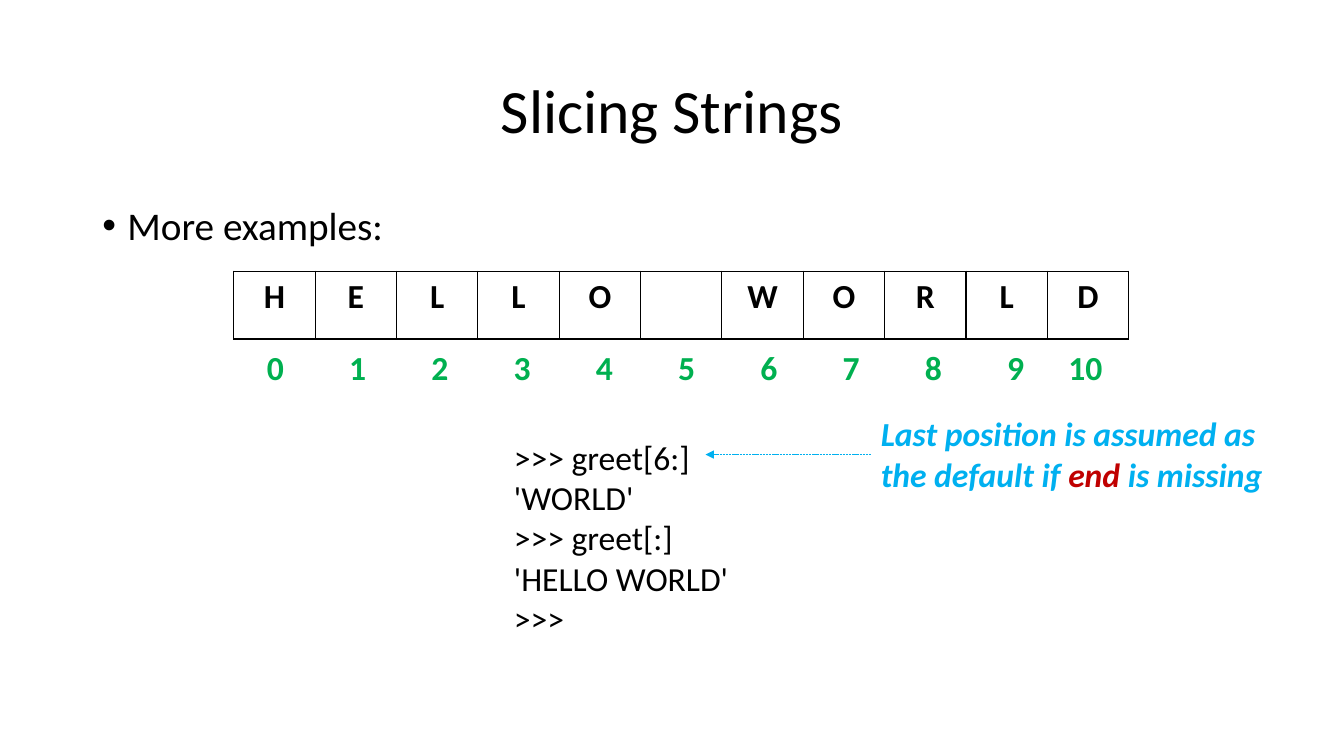
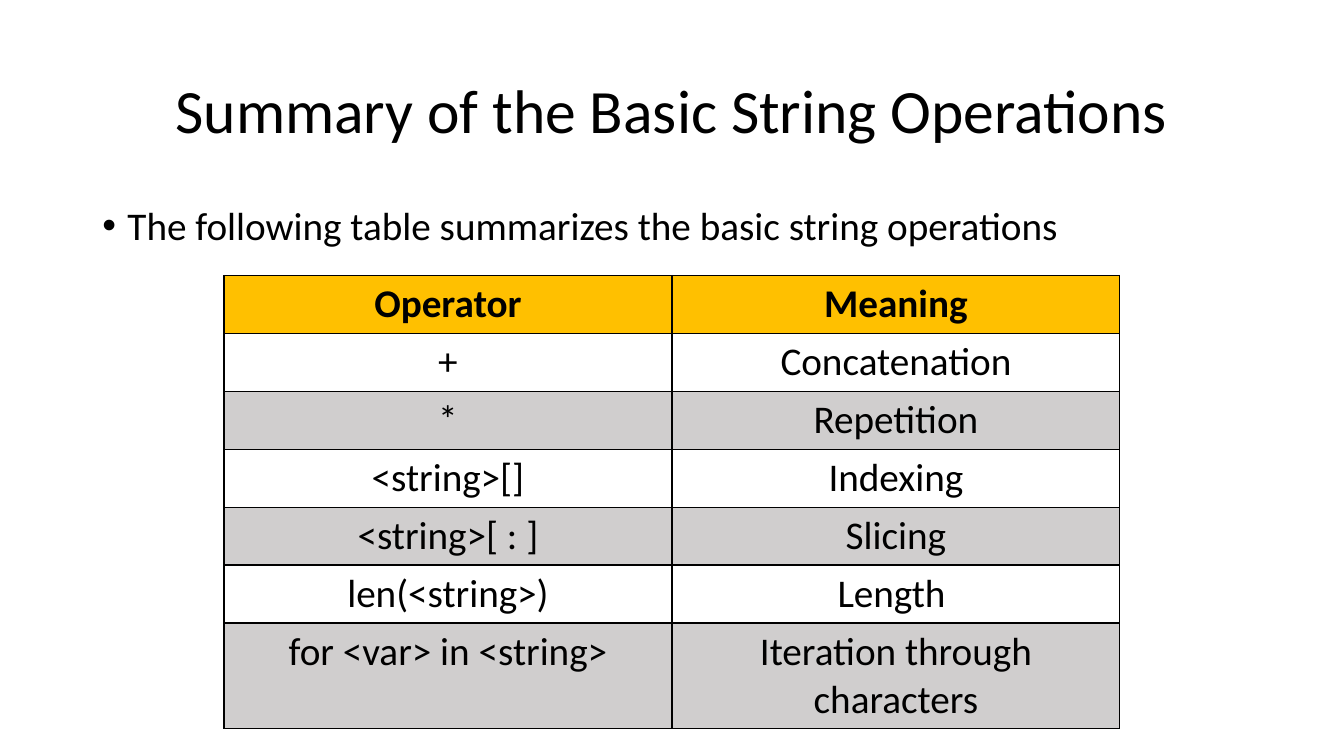
from lxml import etree
from pptx import Presentation
from pptx.dml.color import RGBColor
from pptx.enum.dml import MSO_LINE
from pptx.enum.shapes import MSO_CONNECTOR
from pptx.enum.text import MSO_ANCHOR, PP_ALIGN
from pptx.oxml.ns import qn
from pptx.util import Pt

BLACK = RGBColor(0x00, 0x00, 0x00)
WHITE = RGBColor(0xFF, 0xFF, 0xFF)
GREY = RGBColor(0xD0, 0xCE, 0xCE)
GOLD = RGBColor(0xFF, 0xC0, 0x00)
GREEN = RGBColor(0x00, 0xB0, 0x50)
BLUE = RGBColor(0x00, 0xB0, 0xF0)
RED = RGBColor(0xC0, 0x00, 0x00)

FONT = "Calibri"
TITLE_SIZE, BODY_SIZE, DETAIL_SIZE = 44, 28, 24
CENTER, LEFT = PP_ALIGN.CENTER, PP_ALIGN.LEFT
MIDDLE = MSO_ANCHOR.MIDDLE
STRAIGHT = MSO_CONNECTOR.STRAIGHT
DASH = MSO_LINE.SQUARE_DOT
TITLE_ONLY = 5

WORD = "HELLO WORLD"
SESSION = [">>> greet[6:]", "'WORLD'", ">>> greet[:]", "'HELLO WORLD'", ">>>"]
OPERATIONS = [
    ("Operator", "Meaning"),
    ("+", "Concatenation"),
    ("*", "Repetition"),
    ("<string>[]", "Indexing"),
    ("<string>[ : ]", "Slicing"),
    ("len(<string>)", "Length "),
    ("for <var> in <string>", "Iteration through characters"),
]


def add_span(para, text, size, color=BLACK, bold=False, italic=False):
    span = para.add_run()
    span.text = text
    font = span.font
    font.name, font.size, font.bold, font.italic = FONT, Pt(size), bold, italic
    font.color.rgb = color


def add_box(page, left, top, width, height, wrap=True):
    box = page.shapes.add_textbox(Pt(left), Pt(top), Pt(width), Pt(height))
    box.text_frame.word_wrap = wrap
    return box.text_frame


def add_page(deck, title, lead):
    page = deck.slides.add_slide(deck.slide_layouts[TITLE_ONLY])
    heading = page.shapes.title
    heading.left, heading.top = Pt(66), Pt(28.8)
    heading.width, heading.height = Pt(828), Pt(104.4)
    heading.text_frame.vertical_anchor = MIDDLE
    para = heading.text_frame.paragraphs[0]
    para.alignment, para.line_spacing = CENTER, 0.9
    add_span(para, title, TITLE_SIZE)

    para = add_box(page, 66, 144, 828, 342.7).paragraphs[0]
    para.line_spacing = 0.9
    props = para._p.get_or_add_pPr()
    props.set("marL", str(Pt(18)))
    props.set("indent", str(Pt(-18)))
    etree.SubElement(props, qn("a:buFont")).set("typeface", "Arial")
    etree.SubElement(props, qn("a:buChar")).set("char", "•")
    add_span(para, lead, BODY_SIZE)
    return page


def add_borders(cell):
    props = cell._tc.get_or_add_tcPr()
    for side in ("a:lnL", "a:lnR", "a:lnT", "a:lnB"):
        line = etree.SubElement(props, qn(side), w=str(Pt(1)))
        fill = etree.SubElement(line, qn("a:solidFill"))
        etree.SubElement(fill, qn("a:srgbClr"), val=str(BLACK))


def add_grid(page, left, top, width, heights, rows, size, fills):
    columns = len(rows[0])
    frame = page.shapes.add_table(len(rows), columns, Pt(left), Pt(top),
                                  Pt(width), Pt(sum(heights)))
    table = frame.table
    table.horz_banding = table.first_row = False
    for column in table.columns:
        column.width = Pt(width / columns)
    for r, (texts, height, fill) in enumerate(zip(rows, heights, fills)):
        table.rows[r].height = Pt(height)
        for c, text in enumerate(texts):
            cell = table.cell(r, c)
            add_borders(cell)
            cell.fill.solid()
            cell.fill.fore_color.rgb = fill
            para = cell.text_frame.paragraphs[0]
            para.alignment = CENTER
            if text.strip():
                add_span(para, text, size, bold=r == 0)


def add_indices(page):
    lefts = [183.6 + 58.75 * i for i in range(10)] + [756]
    for index, left in enumerate(lefts):
        label = str(index)
        frame = add_box(page, left, 244, 14.4 + 12.2 * len(label), 36, wrap=False)
        add_span(frame.paragraphs[0], label, DETAIL_SIZE, GREEN, bold=True)


def add_session(page, lines):
    frame = add_box(page, 360, 308.2, 333.4, 152.6)
    for i, line in enumerate(lines):
        para = frame.add_paragraph() if i else frame.paragraphs[0]
        para.alignment = LEFT
        add_span(para, line, DETAIL_SIZE)


def add_remark(page):
    para = add_box(page, 622.1, 291.6, 290.2, 65.5, wrap=False).paragraphs[0]
    add_span(para, "Last position is assumed as", DETAIL_SIZE, BLUE, True, True)
    para.add_line_break()
    for text, color in (("the default if ", BLUE), ("end ", RED), ("is missing", BLUE)):
        add_span(para, text, DETAIL_SIZE, color, True, True)


def add_arrow(page, start, end, y):
    arrow = page.shapes.add_connector(STRAIGHT, Pt(start), Pt(y), Pt(end), Pt(y))
    arrow.line.color.rgb = BLUE
    arrow.line.width = Pt(0.5)
    arrow.line.dash_style = DASH
    etree.SubElement(arrow.line._get_or_add_ln(), qn("a:tailEnd"), type="triangle")
    etree.SubElement(arrow._element.spPr, qn("a:effectLst"))


def add_slicing_page(deck):
    page = add_page(deck, "Slicing Strings", "More examples:")
    add_grid(page, 167, 193.7, 639.4, [48.4], [WORD], DETAIL_SIZE, [WHITE])
    add_indices(page)
    add_session(page, SESSION)
    add_remark(page)
    add_arrow(page, 622.1, 504, 324.7)


def add_summary_page(deck):
    page = add_page(deck, "Summary of the Basic String Operations",
                    "The following table summarizes the basic string operations")
    heights = [41.4] * 6 + [75.6]
    fills = [GOLD] + [WHITE, GREY] * 3
    add_grid(page, 160, 196.7, 640, heights, OPERATIONS, BODY_SIZE, fills)


def main():
    deck = Presentation()
    deck.slide_width, deck.slide_height = Pt(960), Pt(540)
    add_slicing_page(deck)
    add_summary_page(deck)
    deck.save("out.pptx")


if __name__ == "__main__":
    main()
